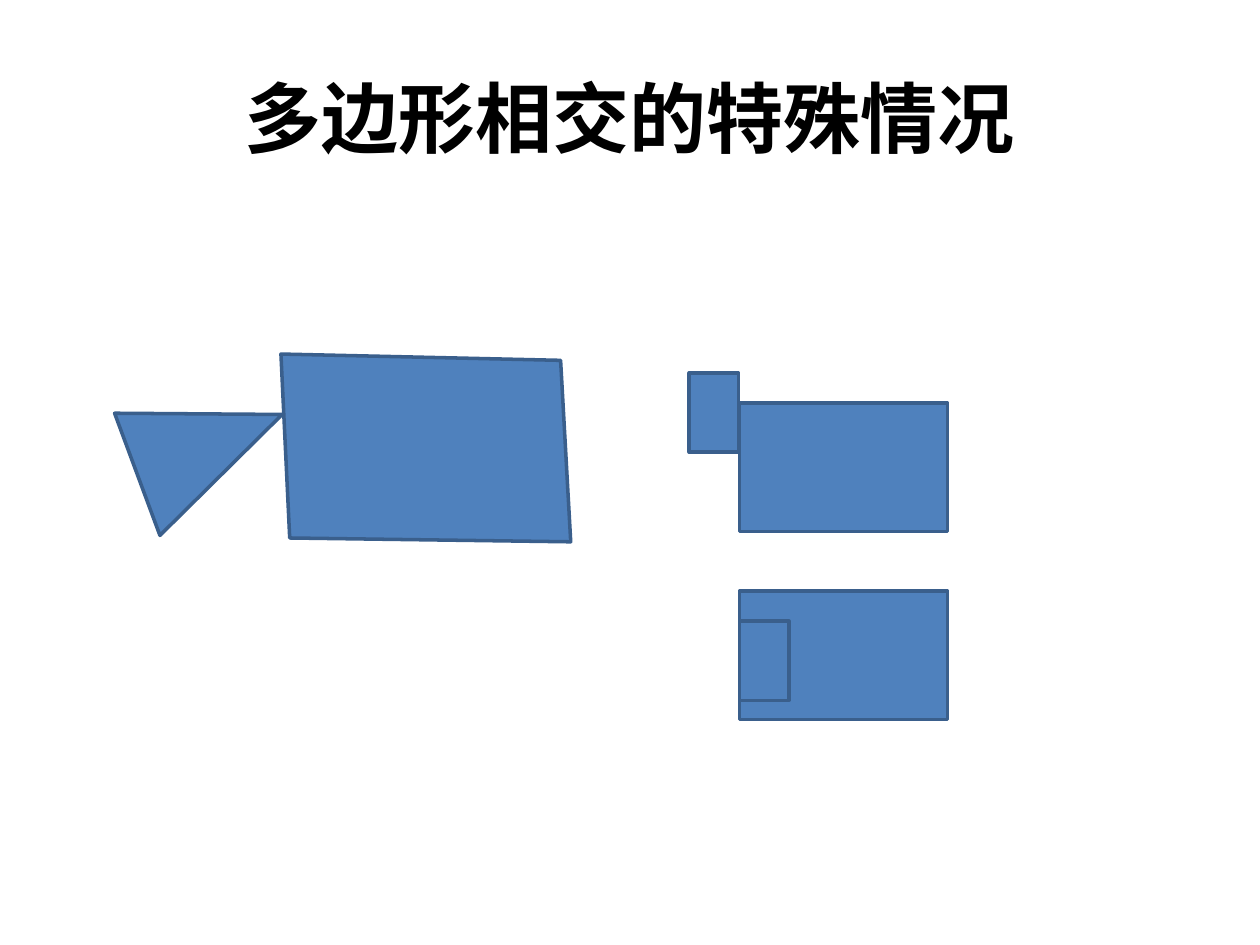
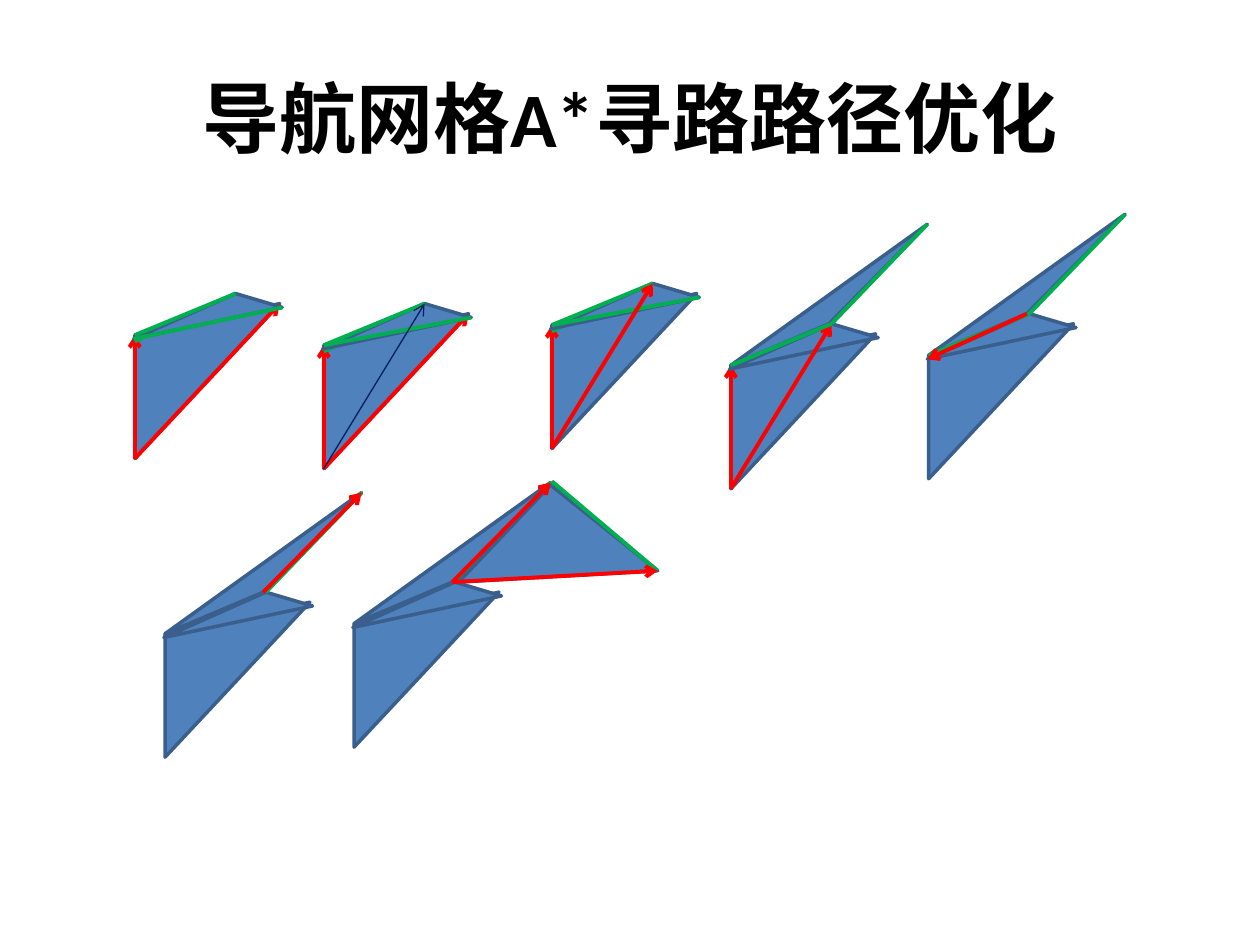
"""Draw two slides on polygon contact and navigation mesh path smoothing."""
import dataclasses
import typing

import lxml.etree
import pptx
import pptx.dml.color
import pptx.enum.shapes
import pptx.enum.text
import pptx.oxml.ns
import pptx.util

Point = typing.Tuple[float, float]


@dataclasses.dataclass(frozen=True)
class Theme:
    """Colours, type and line sizes."""
    ink: str = "000000"
    fill: str = "4F81BD"
    edge: str = "3A5F8C"
    red: str = "FF0000"
    green: str = "00B050"
    navy: str = "002060"
    font: str = "Calibri"
    title: float = 44
    rim: float = 2
    bold: float = 2.25
    thin: float = 0.75


@dataclasses.dataclass(frozen=True)
class Area:
    """A filled outline given by its corners in grid cells."""
    points: typing.Tuple[Point, ...]


@dataclasses.dataclass(frozen=True)
class Stroke:
    """A line between two grid points."""
    start: Point
    end: Point
    color: str
    width: float
    arrow: bool = False


@dataclasses.dataclass(frozen=True)
class Box:
    """A rectangle in grid cells."""
    left: float
    top: float
    width: float
    height: float


@dataclasses.dataclass(frozen=True)
class Figure:
    """A mesh step: where its foot stands and its marks, back to front."""
    foot: Point
    marks: str


LOOK = Theme()
COLS, ROWS = 100, 75
deck = pptx.Presentation()
deck.slide_width = pptx.util.Inches(10)
deck.slide_height = pptx.util.Inches(7.5)


def across(cols: float) -> pptx.util.Emu:
    """Turn columns into a length."""
    return pptx.util.Emu(round(deck.slide_width * cols / COLS))


def down(rows: float) -> pptx.util.Emu:
    """Turn rows into a length."""
    return pptx.util.Emu(round(deck.slide_height * rows / ROWS))


def place(point: Point, base: Point = (0, 0)) -> typing.Tuple[int, int]:
    """Turn a grid point, measured from a base, into slide lengths."""
    return across(base[0] + point[0]), down(base[1] + point[1])


def tint(text: str) -> pptx.dml.color.RGBColor:
    """Read a hex colour."""
    return pptx.dml.color.RGBColor.from_string(text)


def assign(target: typing.Any, values: typing.Dict[str, typing.Any]) -> None:
    """Set each format value on the target."""
    for name, value in values.items():
        setattr(target, name, value)


def paint(shape: typing.Any) -> None:
    """Give a shape the shared fill and edge."""
    shape.shadow.inherit = False
    shape.fill.solid()
    shape.fill.fore_color.rgb = tint(LOOK.fill)
    shape.line.color.rgb = tint(LOOK.edge)
    shape.line.width = pptx.util.Pt(LOOK.rim)


def draw_box(slide: typing.Any, box: Box) -> None:
    """Draw a rectangle."""
    paint(slide.shapes.add_shape(
        pptx.enum.shapes.MSO_SHAPE.RECTANGLE, across(box.left), down(box.top),
        across(box.width), down(box.height)))


def draw_area(slide: typing.Any, area: Area, base: Point = (0, 0)) -> None:
    """Draw a closed outline."""
    first, *rest = [place(point, base) for point in area.points]
    pen = slide.shapes.build_freeform(*first, scale=1.0)
    pen.add_line_segments(rest, close=True)
    paint(pen.convert_to_shape())


def draw_stroke(slide: typing.Any, stroke: Stroke, base: Point) -> None:
    """Draw a line, with an arrowhead if asked."""
    link = slide.shapes.add_connector(
        pptx.enum.shapes.MSO_CONNECTOR.STRAIGHT,
        *place(stroke.start, base), *place(stroke.end, base))
    link.line.color.rgb = tint(stroke.color)
    link.line.width = pptx.util.Pt(stroke.width)
    qn = pptx.oxml.ns.qn
    frame = link._element.spPr
    if stroke.arrow:
        lxml.etree.SubElement(frame.find(qn("a:ln")), qn("a:tailEnd"), type="arrow")
    lxml.etree.SubElement(frame, qn("a:effectLst"))


def add_page(title: str) -> typing.Any:
    """Add a blank slide with a title."""
    slide = deck.slides.add_slide(deck.slide_layouts[6])
    frame = slide.shapes.add_textbox(
        across(5), down(3), across(90), down(12.5)).text_frame
    assign(frame, {"word_wrap": True,
                   "vertical_anchor": pptx.enum.text.MSO_ANCHOR.MIDDLE})
    line = frame.paragraphs[0]
    line.alignment = pptx.enum.text.PP_ALIGN.CENTER
    run = line.add_run()
    run.text = title
    assign(run.font, {"name": LOOK.font, "size": pptx.util.Pt(LOOK.title),
                      "bold": True})
    run.font.color.rgb = tint(LOOK.ink)
    return slide


def red(start: Point, end: Point) -> Stroke:
    """Make a red arrow."""
    return Stroke(start, end, LOOK.red, LOOK.bold, True)


def green(start: Point, end: Point) -> Stroke:
    """Make a green line."""
    return Stroke(start, end, LOOK.green, LOOK.bold)


FOOT, TOP, TIP = (0, 0), (0, -9.8), (11.5, -12.3)
WEST, EAST, PEAK = (-0.1, -9.5), (11.7, -12), (8, -13.1)
BEND, FAR = (7.8, -13.1), (15.6, -21)
OUT = (24.1, -14)

MARKS = {
    "base": Area((TOP, FOOT, TIP)),
    "cap": Area((WEST, EAST, PEAK)),
    "wing": Area((TOP, BEND, FAR)),
    "fan": Area(((8.3, -13.1), OUT, (15.6, -20.8))),
    "left": red(FOOT, TOP),
    "right": red(FOOT, TIP),
    "mid": red(FOOT, PEAK),
    "back": red(BEND, WEST),
    "climb": red(BEND, FAR),
    "reach": red(BEND, OUT),
    "under": green((0, -9.3), PEAK),
    "slope": green(TOP, PEAK),
    "lid": green(EAST, WEST),
    "slat": green(EAST, TOP),
    "blade": green(FAR, PEAK),
    "end": green(OUT, (15.7, -21.1)),
    "probe": Stroke(FOOT, PEAK, LOOK.navy, LOOK.thin, True),
}

FIGURES = (
    Figure((10.7, 36.4), "base left right under cap slope lid"),
    Figure((25.7, 37.2), "base left right under cap slope slat probe"),
    Figure((43.8, 35.6), "base left under cap slope slat mid"),
    Figure((58, 38.8), "base left cap mid wing blade slope"),
    Figure((73.7, 38), "base cap wing blade slope back"),
    Figure((13.1, 60.1), "base cap wing blade climb"),
    Figure((28.1, 59.3), "base cap wing blade fan climb end reach"),
)

AREAS = (
    Area(((22.3, 28.1), (23, 42.7), (45.3, 43), (44.5, 28.6))),
    Area(((9.1, 32.8), (22.4, 32.9), (12.7, 42.5))),
)
BOXES = (
    Box(58.7, 32, 16.5, 10.2),
    Box(54.7, 29.6, 3.9, 6.3),
    Box(58.7, 46.9, 16.5, 10.2),
    Box(58.7, 49.3, 3.9, 6.3),
)

page = add_page("多边形相交的特殊情况")
for area in AREAS:
    draw_area(page, area)
for box in BOXES:
    draw_box(page, box)

page = add_page("导航网格A*寻路路径优化")
for figure in FIGURES:
    for name in figure.marks.split():
        mark = MARKS[name]
        draw = draw_area if isinstance(mark, Area) else draw_stroke
        draw(page, mark, figure.foot)

deck.save("out.pptx")
